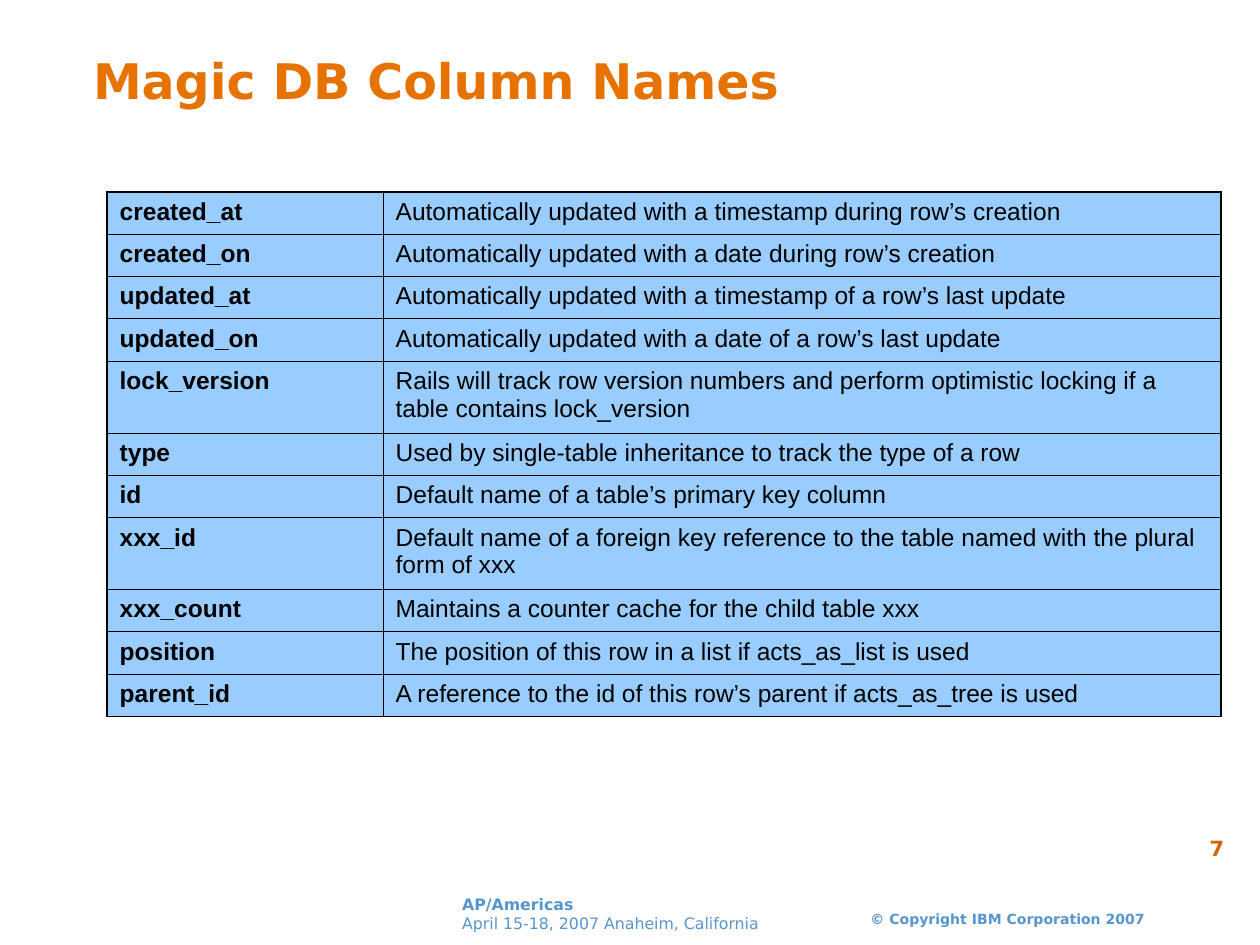
"""Build the slide on magic database column names."""
import pptx
import pptx.dml.color
import pptx.enum.text
import pptx.oxml
import pptx.util
import lxml.etree

Pt = pptx.util.Pt
RGB = pptx.dml.color.RGBColor
Align = pptx.enum.text.PP_ALIGN
Anchor = pptx.enum.text.MSO_ANCHOR

ORANGE = RGB(0xE6, 0x73, 0x00)
RUST = RGB(0xCC, 0x66, 0x0B)
BLUE = RGB(0x56, 0x95, 0xCE)
SKY = RGB(0x99, 0xCC, 0xFF)
BLACK = RGB(0, 0, 0)

COLUMNS = [
    ("created_at", "Automatically updated with a timestamp during row’s creation"),
    ("created_on", "Automatically updated with a date during row’s creation"),
    ("updated_at", "Automatically updated with a timestamp of a row’s last update"),
    ("updated_on", "Automatically updated with a date of a row’s last update"),
    ("lock_version", "Rails will track row version numbers and perform optimistic "
                     "locking if a table contains lock_version"),
    ("type", "Used by single-table inheritance to track the type of a row"),
    ("id", "Default name of a table’s primary key column"),
    ("xxx_id", "Default name of a foreign key reference to the table named "
               "with the plural form of xxx"),
    ("xxx_count", "Maintains a counter cache for the child table xxx"),
    ("position", "The position of this row in a list if acts_as_list is used"),
    ("parent_id", "A reference to the id of this row’s parent if acts_as_tree is used"),
]
TALL = {"lock_version", "xxx_id"}
WIDTHS = (157.7, 478.8)
LOW, HIGH = 24.2, 41.1
THIN, THICK = 0.45, 1.08

LABELS = [
    (["© Copyright IBM Corporation 2007"], (476.6, 517, 198.7, 16.6),
     8, BLUE, [True], Align.CENTER, Anchor.TOP),
    (["AP/Americas", "April 15-18, 2007 Anaheim, California"],
     (257, 507.6, 222.5, 28.8), 9, BLUE, [True, False], Align.LEFT, Anchor.BOTTOM),
    (["7"], (679.7, 472.3, 57.6, 25.2), 12, RUST, [True], Align.LEFT, Anchor.TOP),
    (["Magic DB Column Names"], (46.1, 20.9, 660.2, 45.4),
     28, ORANGE, [True], Align.LEFT, Anchor.BOTTOM),
]


def style(para, face, size, color, bold):
    font = para.runs[0].font
    font.name, font.size, font.bold = face, Pt(size), bold
    font.color.rgb = color


def label(slide, lines, place, size, color, bolds, align, anchor):
    box = slide.shapes.add_textbox(*map(Pt, place))
    frame = box.text_frame
    frame.word_wrap = True
    frame.vertical_anchor = anchor
    frame.text = "\n".join(lines)
    for para, bold in zip(frame.paragraphs, bolds):
        para.alignment = align
        style(para, "DejaVu Sans", size, color, bold)
    return box


def border(cell, sides):
    props = cell._tc.get_or_add_tcPr()
    for spot, (side, width) in enumerate(sides.items()):
        line = lxml.etree.Element(pptx.oxml.ns.qn(f"a:ln{side}"), w=str(Pt(width)))
        fill = lxml.etree.SubElement(line, pptx.oxml.ns.qn("a:solidFill"))
        lxml.etree.SubElement(fill, pptx.oxml.ns.qn("a:srgbClr"), val=str(BLACK))
        props.insert(spot, line)


def grid(slide):
    highs = [HIGH if name in TALL else LOW for name, note in COLUMNS]
    last = len(COLUMNS) - 1
    place = (61.2, 109.6, sum(WIDTHS), sum(highs))
    table = slide.shapes.add_table(
        len(COLUMNS), len(WIDTHS), *map(Pt, place)).table
    table.first_row = table.horz_banding = False
    for column, width in zip(table.columns, WIDTHS):
        column.width = Pt(width)
    for r, texts in enumerate(COLUMNS):
        table.rows[r].height = Pt(highs[r])
        for c, text in enumerate(texts):
            cell = table.cell(r, c)
            cell.text_frame.text = text
            style(cell.text_frame.paragraphs[0], "Arial", 14, BLACK, c == 0)
            cell.fill.solid()
            cell.fill.fore_color.rgb = SKY
            edges = {"L": c == 0, "R": c == 1, "T": r == 0, "B": r == last}
            border(cell, {side: THICK if outer else THIN
                          for side, outer in edges.items()})


def main():
    deck = pptx.Presentation()
    deck.slide_width, deck.slide_height = Pt(720), Pt(540)
    slide = deck.slides.add_slide(deck.slide_layouts[6])
    boxes = [label(slide, *item) for item in LABELS]
    number = boxes[2].text_frame
    number.margin_left, number.margin_top = Pt(11.5), Pt(5)
    grid(slide)
    deck.save("out.pptx")


if __name__ == "__main__":
    main()
